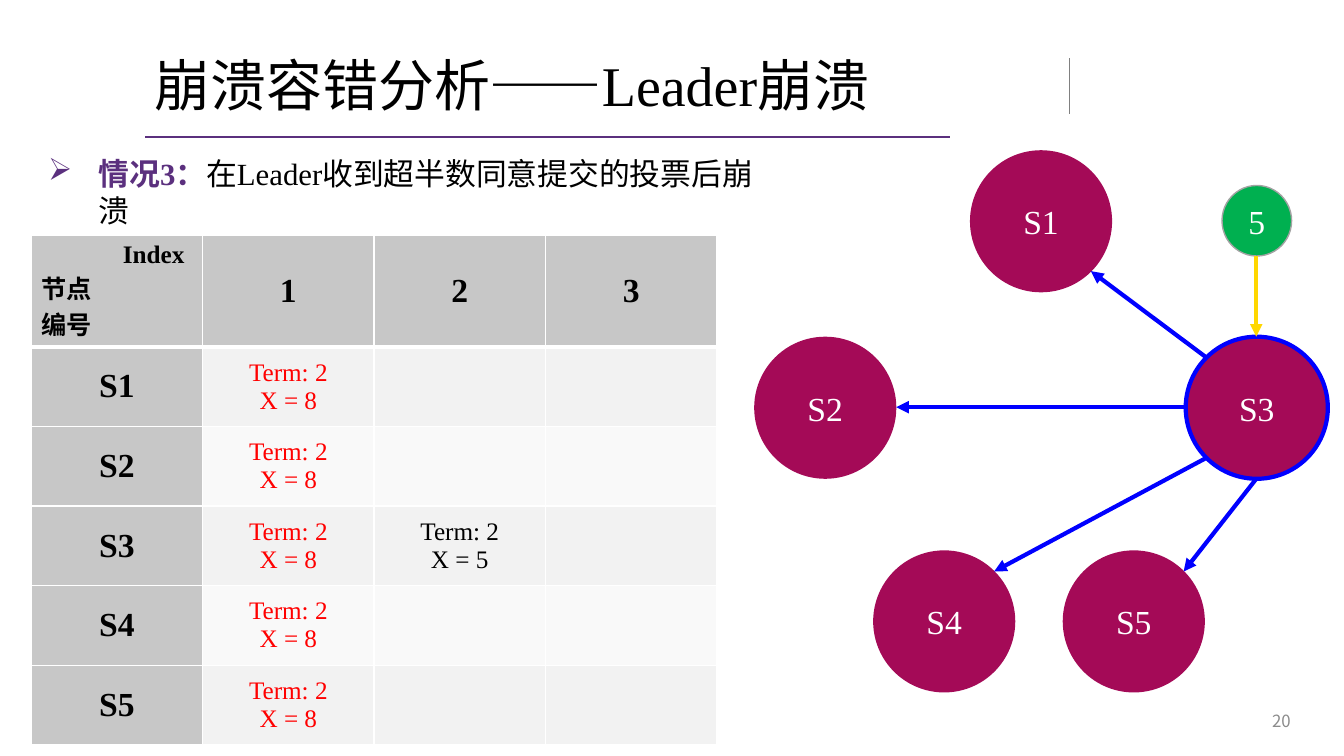
import dataclasses
import math

import lxml.etree
import pptx
import pptx.dml.color
import pptx.enum.shapes
import pptx.enum.text
import pptx.oxml.ns
import pptx.util

ALIGN = pptx.enum.text.PP_ALIGN
ANCHOR = pptx.enum.text.MSO_ANCHOR


@dataclasses.dataclass(frozen=True)
class Theme:
    latin: str = "Times New Roman"
    asian: str = "Noto Sans CJK SC"
    black: str = "000000"
    white: str = "FFFFFF"
    purple: str = "5B307E"
    gray: str = "808080"
    page_gray: str = "8C8C8C"
    header: str = "C7C7C7"
    bands: tuple = ("F2F2F2", "F9F9F9")
    red: str = "FF0000"
    node: str = "A40A57"
    blue: str = "0000FF"
    green: str = "00B050"
    rim: str = "A3A3A3"
    gold: str = "FFD700"
    title_size: int = 40
    node_size: int = 24
    body_size: int = 22
    cell_size: int = 18
    page_size: int = 12


def px(value):
    return pptx.util.Emu(round(value * 9144))


def rgb(color):
    return pptx.dml.color.RGBColor.from_string(color)


def add_xml(parent, tag, **attributes):
    return lxml.etree.SubElement(parent, pptx.oxml.ns.qn(tag), **attributes)


def rim_point(circle, degrees):
    angle = math.radians(degrees)
    x = circle.left + circle.width / 2 * (1 + math.cos(angle))
    y = circle.top + circle.height / 2 * (1 + math.sin(angle))
    return round(x / px(1)), round(y / px(1))


class SlideBuilder:
    def __init__(self, presentation, theme):
        self.theme = theme
        self.slide = presentation.slides.add_slide(presentation.slide_layouts[5])

    def run(self, paragraph, text, size, color, bold=False, latin=None):
        run = paragraph.add_run()
        run.text = text
        font = run.font
        font.size = pptx.util.Pt(size)
        font.bold = bold
        font.color.rgb = rgb(color)
        font.name = latin or self.theme.latin
        add_xml(font._element, "a:ea", typeface=self.theme.asian)

    def title(self, text, left, top, width, height):
        shape = self.slide.shapes.title
        shape.left, shape.top = px(left), px(top)
        shape.width, shape.height = px(width), px(height)
        frame = shape.text_frame
        frame.vertical_anchor = ANCHOR.MIDDLE
        frame.auto_size = pptx.enum.text.MSO_AUTO_SIZE.NONE
        paragraph = frame.paragraphs[0]
        paragraph.alignment = ALIGN.LEFT
        paragraph.line_spacing = 0.9
        self.run(paragraph, text, self.theme.title_size, self.theme.black)

    def text_box(self, left, top, width, height, anchor=ANCHOR.TOP):
        shape = self.slide.shapes.add_textbox(px(left), px(top), px(width), px(height))
        shape.text_frame.word_wrap = True
        shape.text_frame.vertical_anchor = anchor
        return shape.text_frame.paragraphs[0]

    def page_number(self, text, left, top, width, height):
        paragraph = self.text_box(left, top, width, height, ANCHOR.MIDDLE)
        paragraph.alignment = ALIGN.RIGHT
        self.run(paragraph, text, self.theme.page_size, self.theme.page_gray,
                 latin=self.theme.asian)

    def bullet(self, label, text, left, top, width, height):
        paragraph = self.text_box(left, top, width, height)
        properties = paragraph._p.get_or_add_pPr()
        properties.set("marL", str(px(50)))
        properties.set("indent", str(px(-50)))
        bullet_color = add_xml(properties, "a:buClr")
        add_xml(bullet_color, "a:srgbClr", val=self.theme.purple)
        add_xml(properties, "a:buChar", char="➢")
        self.run(paragraph, label, self.theme.body_size, self.theme.purple, bold=True)
        self.run(paragraph, text, self.theme.body_size, self.theme.black)

    def line(self, start, end, color, width, arrow=False):
        connector = self.slide.shapes.add_connector(
            pptx.enum.shapes.MSO_CONNECTOR.STRAIGHT,
            px(start[0]), px(start[1]), px(end[0]), px(end[1]))
        connector.line.color.rgb = rgb(color)
        connector.line.width = pptx.util.Pt(width)
        if arrow:
            add_xml(connector.line._get_or_add_ln(), "a:tailEnd", type="triangle")
        add_xml(connector._element.spPr, "a:effectLst")

    def circle(self, text, left, top, width, height, fill, outline=None, weight=1):
        shape = self.slide.shapes.add_shape(
            pptx.enum.shapes.MSO_SHAPE.OVAL, px(left), px(top), px(width), px(height))
        shape.shadow.inherit = False
        shape.fill.solid()
        shape.fill.fore_color.rgb = rgb(fill)
        if outline:
            shape.line.color.rgb = rgb(outline)
            shape.line.width = pptx.util.Pt(weight)
        else:
            shape.line.fill.background()
        shape.text_frame.vertical_anchor = ANCHOR.MIDDLE
        paragraph = shape.text_frame.paragraphs[0]
        paragraph.alignment = ALIGN.CENTER
        self.run(paragraph, text, self.theme.node_size, self.theme.white)
        return shape

    def cell(self, cell, lines, fill, size, color, bold, bottom):
        properties = cell._tc.get_or_add_tcPr()
        for side, weight in (("L", 1), ("R", 1), ("T", 1), ("B", bottom)):
            border = add_xml(properties, f"a:ln{side}", w=str(pptx.util.Pt(weight)))
            add_xml(add_xml(border, "a:solidFill"), "a:srgbClr", val=self.theme.white)
        cell.fill.solid()
        cell.fill.fore_color.rgb = rgb(fill)
        cell.vertical_anchor = ANCHOR.MIDDLE
        frame = cell.text_frame
        for index, text in enumerate(lines):
            paragraph = frame.add_paragraph() if index else frame.paragraphs[0]
            paragraph.alignment = ALIGN.CENTER
            self.run(paragraph, text, size, color, bold)

    def log_table(self, rows, left, top, column_width, header_height, row_height):
        theme = self.theme
        columns = len(rows[0])
        height = header_height + row_height * (len(rows) - 1)
        table = self.slide.shapes.add_table(
            len(rows), columns, px(left), px(top),
            px(column_width * columns), px(height)).table
        for column in table.columns:
            column.width = px(column_width)
        for row_index, row in enumerate(rows):
            table.rows[row_index].height = px(row_height if row_index else header_height)
            for column_index, lines in enumerate(row):
                heading = row_index == 0 or column_index == 0
                corner = row_index == 0 and column_index == 0
                committed = column_index == 1 and not heading
                self.cell(
                    table.cell(row_index, column_index), lines,
                    theme.header if heading else theme.bands[(row_index - 1) % 2],
                    theme.node_size if heading and not corner else theme.cell_size,
                    theme.red if committed else theme.black,
                    heading, 1 if row_index else 3)
        corner_cell = table.cell(0, 0)
        corner_cell.vertical_anchor = ANCHOR.TOP
        corner_cell.margin_right = px(18)
        for paragraph in corner_cell.text_frame.paragraphs:
            paragraph.alignment = ALIGN.LEFT
        corner_cell.text_frame.paragraphs[0].alignment = ALIGN.RIGHT


def main():
    presentation = pptx.Presentation()
    presentation.slide_width, presentation.slide_height = px(1333), px(750)
    theme = Theme()
    builder = SlideBuilder(presentation, theme)

    builder.line((144, 136), (942, 136), theme.purple, 1.5)
    builder.line((1061, 58), (1061, 113), theme.gray, 1)
    builder.title("崩溃容错分析——Leader崩溃", 143, 40, 899, 96)
    builder.page_number("20", 990, 695, 300, 40)

    rows = [[("Index", "节点", "编号"), ("1",), ("2",), ("3",)]]
    for name in ("S1", "S2", "S3", "S4", "S5"):
        pending = ("Term: 2", "X = 5") if name == "S3" else ()
        rows.append([(name,), ("Term: 2", "X = 8"), pending, ()])
    builder.log_table(rows, 31, 234, 170, 110, 79)

    positions = {"S1": (962, 149), "S2": (748, 334), "S3": (1176, 334),
                 "S4": (866, 546), "S5": (1054, 546)}
    nodes = {}
    for name, (left, top) in positions.items():
        outline = theme.blue if name == "S3" else None
        nodes[name] = builder.circle(name, left, top, 141, 141, theme.node, outline, 3)
    builder.bullet("情况3：", "在Leader收到超半数同意提交的投票后崩溃", 38, 149, 727, 84)
    request = builder.circle("5", 1212, 184, 69, 70, theme.green, theme.rim)

    leader = nodes["S3"]
    builder.line(rim_point(request, 90), rim_point(leader, 270), theme.gold, 3, arrow=True)
    for name, leader_angle, node_angle in (
            ("S1", 225, 45), ("S2", 180, 0), ("S4", 135, 315), ("S5", 90, 315)):
        builder.line(rim_point(leader, leader_angle), rim_point(nodes[name], node_angle),
                     theme.blue, 3, arrow=True)

    presentation.save("out.pptx")


if __name__ == "__main__":
    main()
